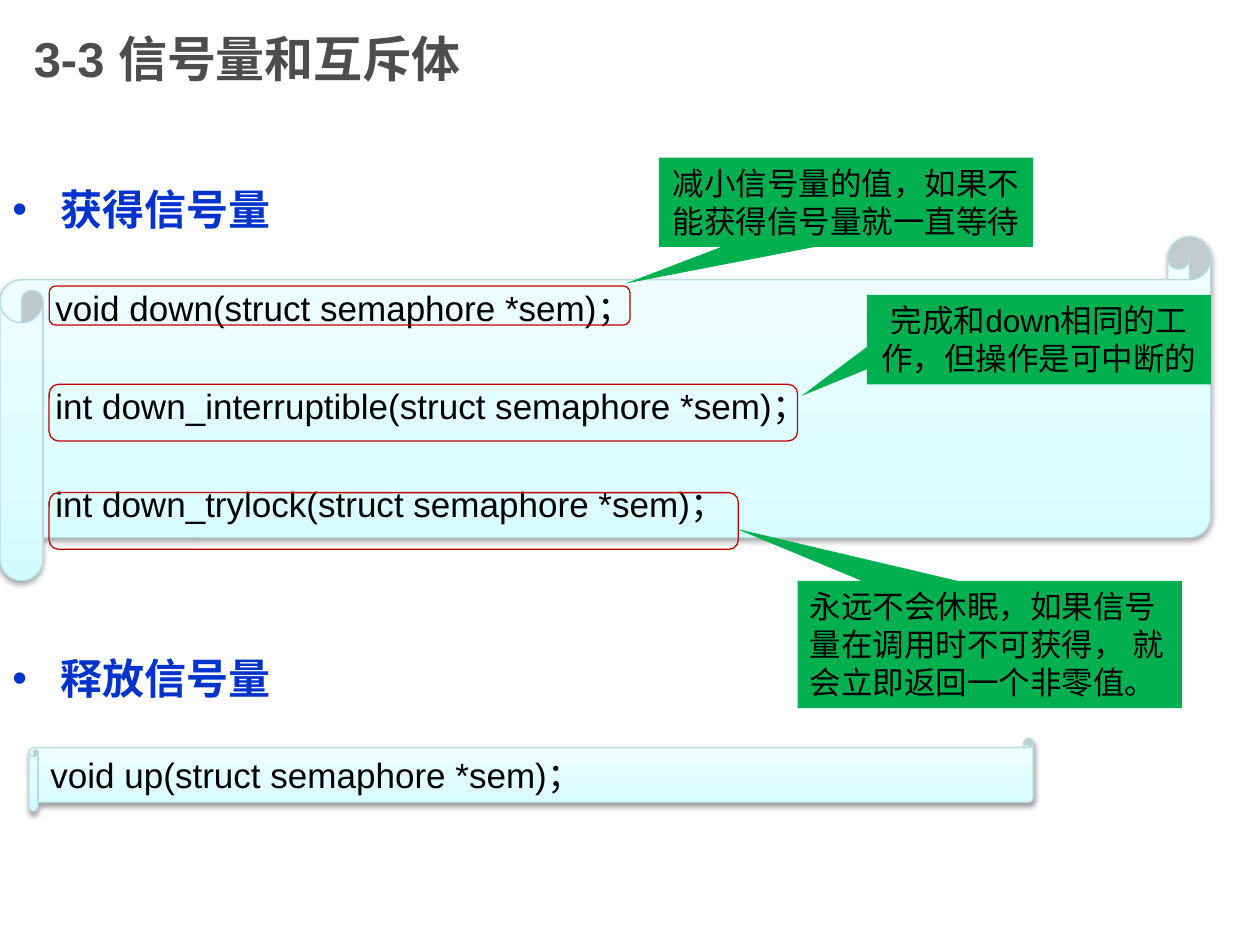
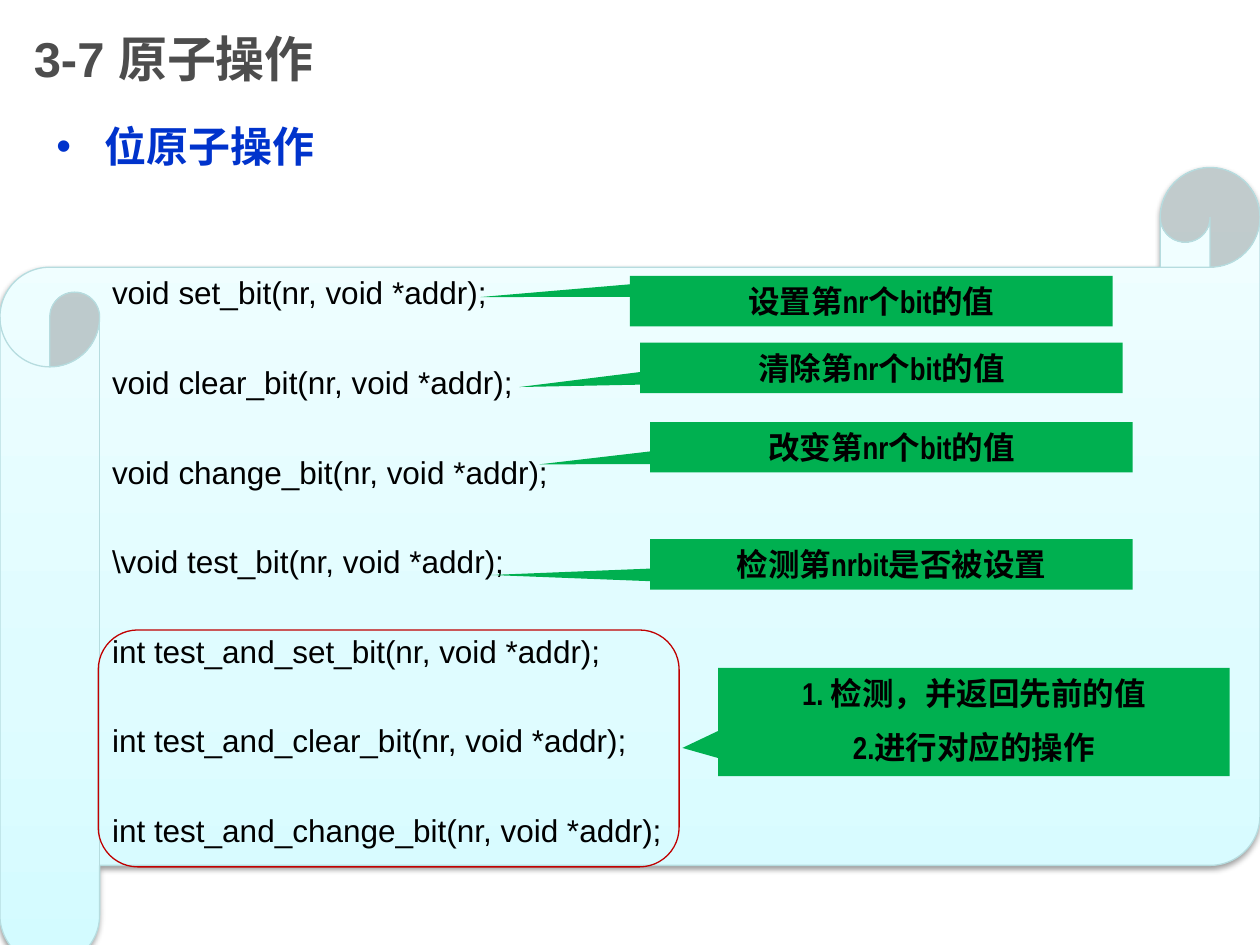
from dataclasses import dataclass

from lxml import etree
from pptx import Presentation
from pptx.dml.color import RGBColor
from pptx.enum.shapes import MSO_SHAPE
from pptx.enum.text import MSO_ANCHOR, PP_ALIGN
from pptx.oxml.ns import qn
from pptx.util import Inches, Pt

SCROLL = MSO_SHAPE.HORIZONTAL_SCROLL
CALLOUT = MSO_SHAPE.RECTANGULAR_CALLOUT
ROUNDED = MSO_SHAPE.ROUNDED_RECTANGLE
TOP, MIDDLE = MSO_ANCHOR.TOP, MSO_ANCHOR.MIDDLE
LEFT, CENTER = PP_ALIGN.LEFT, PP_ALIGN.CENTER


@dataclass(frozen=True)
class Theme:
    font: str = "Arial"
    narrow: str = "Arial Narrow"
    title: str = "4D4D4D"
    heading: str = "0033CC"
    text: str = "000000"
    callout: str = "00B050"
    frame: str = "C00000"
    scroll_line: str = "B6DCDF"
    scroll_stops: tuple = ((0, "D3FBFF"), (35, "DFFCFF"), (100, "F2FEFF"))
    title_size: int = 28
    heading_size: int = 24
    code_size: int = 20
    note_size: int = 18


T = Theme()


# Text helpers
def add_run(p, text, size, color=T.text, bold=False, font=T.font):
    r = p.add_run()
    r.text = text
    r.font.size, r.font.bold, r.font.name = Pt(size), bold, font
    r.font.color.rgb = RGBColor.from_string(color)


def fill_paragraphs(tf, lines, size, gap, align=LEFT, **style):
    for i, line in enumerate(lines):
        p = tf.add_paragraph() if i else tf.paragraphs[0]
        p.alignment = align
        p.space_before = Pt(gap if i else 0)
        add_run(p, line, size, **style)


def add_text_box(s, box, anchor=TOP):
    tf = s.shapes.add_textbox(*map(Inches, box)).text_frame
    tf.word_wrap = True
    tf.vertical_anchor = anchor
    return tf.paragraphs[0]


def add_title(s, text):
    p = add_text_box(s, (0.17, 0, 7.5, 0.92), MIDDLE)
    add_run(p, text, T.title_size, T.title, bold=True)


def add_heading(s, text, left, top):
    p = add_text_box(s, (left, top, 5, 0.55))
    pPr = p._p.get_or_add_pPr()
    pPr.set("marL", str(Inches(0.38)))
    pPr.set("indent", str(Inches(-0.38)))
    etree.SubElement(pPr, qn("a:buFont"), typeface=T.font)
    etree.SubElement(pPr, qn("a:buChar"), char="•")
    add_run(p, text, T.heading_size, T.heading, bold=True)


# Shape helpers
def add_shape(s, kind, box, line=None, width=0.75):
    sp = s.shapes.add_shape(kind, *map(Inches, box))
    sp.shadow.inherit = False
    if line:
        sp.line.color.rgb = RGBColor.from_string(line)
        sp.line.width = Pt(width)
    else:
        sp.line.fill.background()
    sp.text_frame.word_wrap = True
    sp.text_frame.vertical_anchor = TOP
    return sp


def add_color(parent, color):
    return etree.SubElement(parent, qn("a:srgbClr"), val=color)


def add_scroll(s, box, lines, size=T.code_size, gap=0):
    sp = add_shape(s, SCROLL, box, T.scroll_line)
    # Three-stop gradient, light at the top
    sp.fill.gradient()
    sp.fill.gradient_angle = 90
    stops = sp._element.spPr.find(".//" + qn("a:gsLst"))
    for gs in list(stops):
        stops.remove(gs)
    for pos, color in T.scroll_stops:
        add_color(etree.SubElement(stops, qn("a:gs"), pos=str(pos * 1000)), color)
    # Soft shadow below
    effects = sp._element.spPr.find(qn("a:effectLst"))
    shadow = etree.SubElement(effects, qn("a:outerShdw"), blurRad=str(Pt(3.1)),
                              dist=str(Pt(1.6)), dir="5400000", rotWithShape="0")
    etree.SubElement(add_color(shadow, T.text), qn("a:alpha"), val="38000")
    fill_paragraphs(sp.text_frame, lines, size, gap)


def add_callout(s, box, tip, lines, align=CENTER, **style):
    sp = add_shape(s, CALLOUT, box)
    sp.fill.solid()
    sp.fill.fore_color.rgb = RGBColor.from_string(T.callout)
    sp.adjustments[0], sp.adjustments[1] = tip
    fill_paragraphs(sp.text_frame, lines, T.note_size, 9, align, **style)


def add_frame(s, box):
    add_shape(s, ROUNDED, box, T.frame).fill.background()


# Slides
def new_slide(prs, title):
    s = prs.slides.add_slide(prs.slide_layouts[6])
    add_title(s, title)
    return s


def build_semaphore_slide(prs):
    s = new_slide(prs, "3-3 信号量和互斥体")
    add_heading(s, "获得信号量", 0, 1.41)
    add_heading(s, "释放信号量", 0, 5.13)
    add_scroll(s, (0, 1.88, 9.61, 2.73), [
        "void down(struct semaphore *sem)；",
        "int down_interruptible(struct semaphore *sem)；",
        "int down_trylock(struct semaphore *sem)；",
    ], gap=32)
    for top, width, height in ((2.27, 4.61, 0.31), (3.05, 5.94, 0.45), (3.91, 5.47, 0.45)):
        add_frame(s, (0.39, top, width, height))
    add_callout(s, (5.23, 1.25, 2.97, 0.71), (-0.59, 0.91),
                ["减小信号量的值，如果不能获得信号量就一直等待"])
    add_callout(s, (6.88, 2.34, 2.73, 0.71), (-0.69, 0.63),
                ["完成和down相同的工作，但操作是可中断的"])
    add_callout(s, (6.33, 4.61, 3.05, 1.01), (-0.66, -0.91),
                ["永远不会休眠，如果信号量在调用时不可获得， 就会立即返回一个非零值。"], LEFT)
    add_scroll(s, (0.23, 5.86, 7.97, 0.58), ["void up(struct semaphore *sem)；"])


def build_atomic_slide(prs):
    s = new_slide(prs, "3-7 原子操作")
    add_heading(s, "位原子操作", 0.35, 0.91)
    add_scroll(s, (0, 1.33, 10, 6.33), [
        "void set_bit(nr, void *addr);",
        "void clear_bit(nr, void *addr);",
        "void change_bit(nr, void *addr);",
        "\\void test_bit(nr, void *addr);",
        "int test_and_set_bit(nr, void *addr);",
        "int test_and_clear_bit(nr, void *addr);",
        "int test_and_change_bit(nr, void *addr);",
    ], T.note_size, gap=29.6)
    narrow_bold = {"bold": True, "font": T.narrow}
    for left, top, tip, text in (
        (5, 2.19, (-0.81, -0.08), "设置第nr个bit的值"),
        (5.08, 2.72, (-0.75, 0.38), "清除第nr个bit的值"),
        (5.16, 3.35, (-0.73, 0.34), "改变第nr个bit的值"),
        (5.16, 4.28, (-0.83, 0.21), "检测第nrbit是否被设置"),
    ):
        add_callout(s, (left, top, 3.83, 0.4), tip, [text], **narrow_bold)
    add_callout(s, (5.7, 5.3, 4.06, 0.86), (-0.57, 0.24),
                ["1. 检测，并返回先前的值", "2.进行对应的操作"], **narrow_bold)
    add_frame(s, (0.78, 5, 4.61, 1.88))


def main():
    prs = Presentation()
    prs.slide_width, prs.slide_height = Inches(10), Inches(7.5)
    build_semaphore_slide(prs)
    build_atomic_slide(prs)
    prs.save("out.pptx")


if __name__ == "__main__":
    main()
